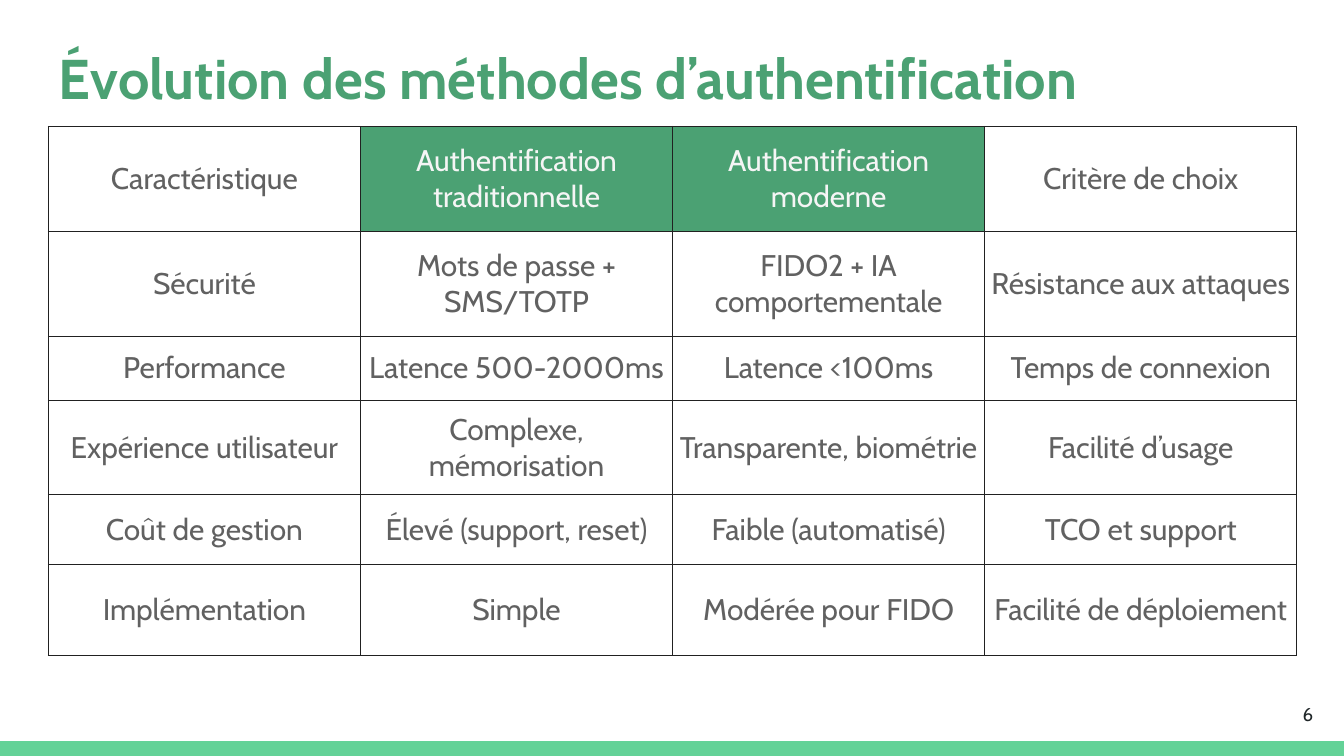
from lxml.etree import SubElement
from pptx import Presentation
from pptx.dml.color import RGBColor
from pptx.enum.shapes import MSO_SHAPE as Shape
from pptx.enum.text import MSO_ANCHOR as Anchor, PP_ALIGN as Align
from pptx.oxml.ns import qn
from pptx.util import Inches, Pt

TITLE = "Évolution des méthodes d’authentification"
PAGE_NUMBER = "6"
ROWS = [
    ("Caractéristique", "Authentification traditionnelle",
     "Authentification moderne", "Critère de choix"),
    ("Sécurité", "Mots de passe + SMS/TOTP",
     "FIDO2 + IA comportementale", "Résistance aux attaques"),
    ("Performance", "Latence 500-2000ms", "Latence <100ms", "Temps de connexion"),
    ("Expérience utilisateur", "Complexe, mémorisation",
     "Transparente, biométrie", "Facilité d’usage"),
    ("Coût de gestion", "Élevé (support, reset)",
     "Faible (automatisé)", "TCO et support"),
    ("Implémentation", "Simple", "Modérée pour FIDO", "Facilité de déploiement"),
]
ROW_HEIGHTS = [0.78, 0.78, 0.48, 0.7, 0.52, 0.68]
PAGE_WIDTH = 10
PAGE_HEIGHT = PAGE_WIDTH * 9 / 16
BAND_HEIGHT = 0.11
TABLE_LEFT, TABLE_TOP, TABLE_WIDTH = 0.36, 0.94, 9.29
HIGHLIGHTED = {(0, 1), (0, 2)}

FONT = "Cabin"
COLORS = {
    "band": "63D297",
    "green": "4BA173",
    "body": "616161",
    "light": "F5F5F5",
    "number": "202729",
    "border": "212121",
}


def color(name):
    return RGBColor.from_string(COLORS[name])


def add_span(para, text, size, color_name, bold=False):
    span = para.add_run()
    span.text = text
    span.font.name = FONT
    span.font.size = Pt(size)
    span.font.bold = bold
    span.font.color.rgb = color(color_name)


def add_text(page, place, text, size, color_name, bold=False,
             align=Align.LEFT, anchor=Anchor.TOP):
    box = page.shapes.add_textbox(*map(Inches, place))
    frame = box.text_frame
    frame.word_wrap = True
    frame.vertical_anchor = anchor
    frame.margin_left = frame.margin_right = Inches(0.1)
    frame.margin_top = frame.margin_bottom = Inches(0.1)
    para = frame.paragraphs[0]
    para.alignment = align
    add_span(para, text, size, color_name, bold)
    return para


def add_borders(cell):
    properties = cell._tc.get_or_add_tcPr()
    for side in ("a:lnL", "a:lnR", "a:lnT", "a:lnB"):
        line = SubElement(properties, qn(side), w=str(Pt(0.57)))
        fill = SubElement(line, qn("a:solidFill"))
        SubElement(fill, qn("a:srgbClr"), val=COLORS["border"])


def fill_cell(cell, text, highlighted):
    cell.vertical_anchor = Anchor.MIDDLE
    cell.margin_left = cell.margin_right = Inches(0.04)
    cell.margin_top = cell.margin_bottom = Inches(0.05)
    add_borders(cell)
    if highlighted:
        cell.fill.solid()
        cell.fill.fore_color.rgb = color("green")
    else:
        cell.fill.background()
    para = cell.text_frame.paragraphs[0]
    para.alignment = Align.CENTER
    add_span(para, text, 16, "light" if highlighted else "body")


def add_comparison(page):
    columns = len(ROWS[0])
    table = page.shapes.add_table(
        len(ROWS), columns, Inches(TABLE_LEFT), Inches(TABLE_TOP),
        Inches(TABLE_WIDTH), Inches(sum(ROW_HEIGHTS))).table
    table.first_row = table.horz_banding = False
    for column in table.columns:
        column.width = Inches(TABLE_WIDTH / columns)
    for r, (texts, height) in enumerate(zip(ROWS, ROW_HEIGHTS)):
        table.rows[r].height = Inches(height)
        for c, text in enumerate(texts):
            fill_cell(table.cell(r, c), text, (r, c) in HIGHLIGHTED)


def main():
    deck = Presentation()
    deck.slide_width, deck.slide_height = Inches(PAGE_WIDTH), Inches(PAGE_HEIGHT)
    page = deck.slides.add_slide(deck.slide_layouts[6])

    band = page.shapes.add_shape(
        Shape.RECTANGLE, 0, Inches(PAGE_HEIGHT - BAND_HEIGHT),
        deck.slide_width, Inches(BAND_HEIGHT))
    band.shadow.inherit = False
    band.fill.solid()
    band.fill.fore_color.rgb = color("band")
    band.line.fill.background()

    title = add_text(page, (0.34, 0.15, 9.32, 0.63), TITLE, 30, "green", bold=True)
    title.line_spacing = 1.15
    title.space_after = Pt(12)
    add_text(page, (9.27, 5.1, 0.6, 0.43), PAGE_NUMBER, 10, "number",
             align=Align.RIGHT, anchor=Anchor.MIDDLE)
    add_comparison(page)
    deck.save("out.pptx")


if __name__ == "__main__":
    main()
